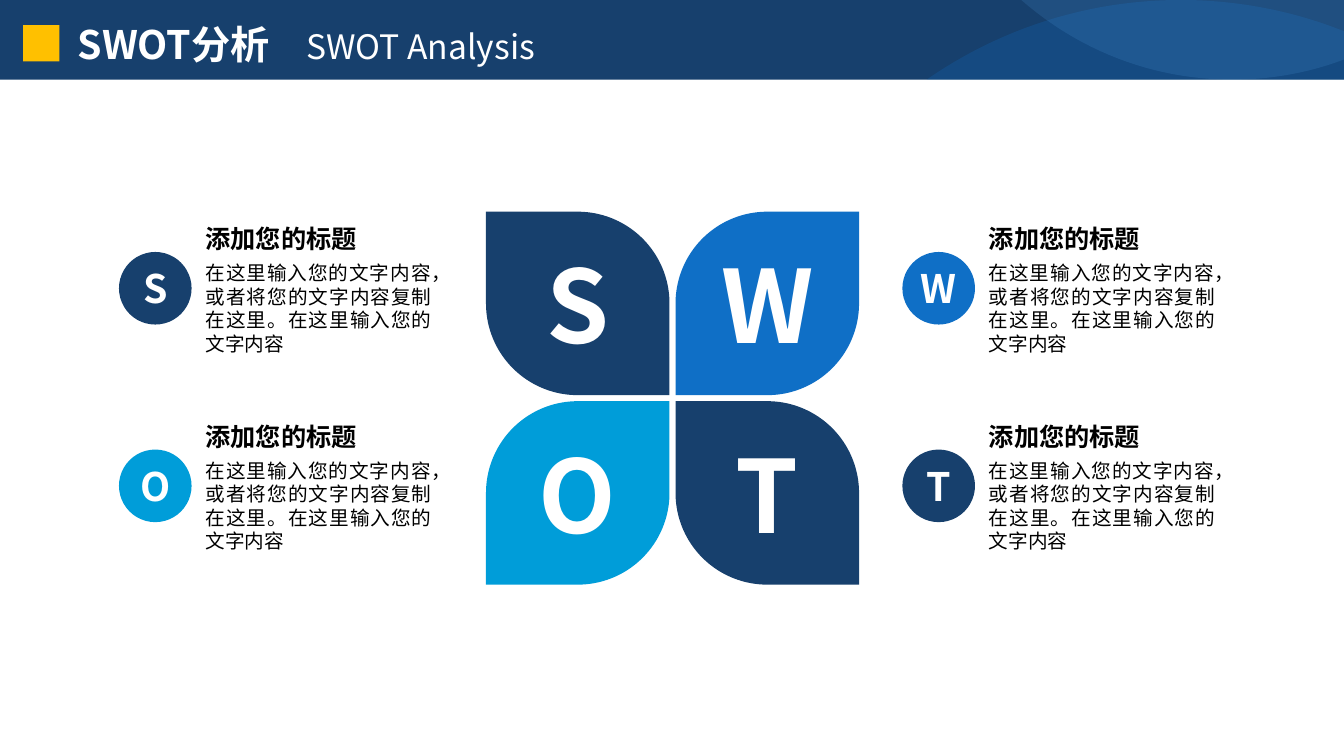
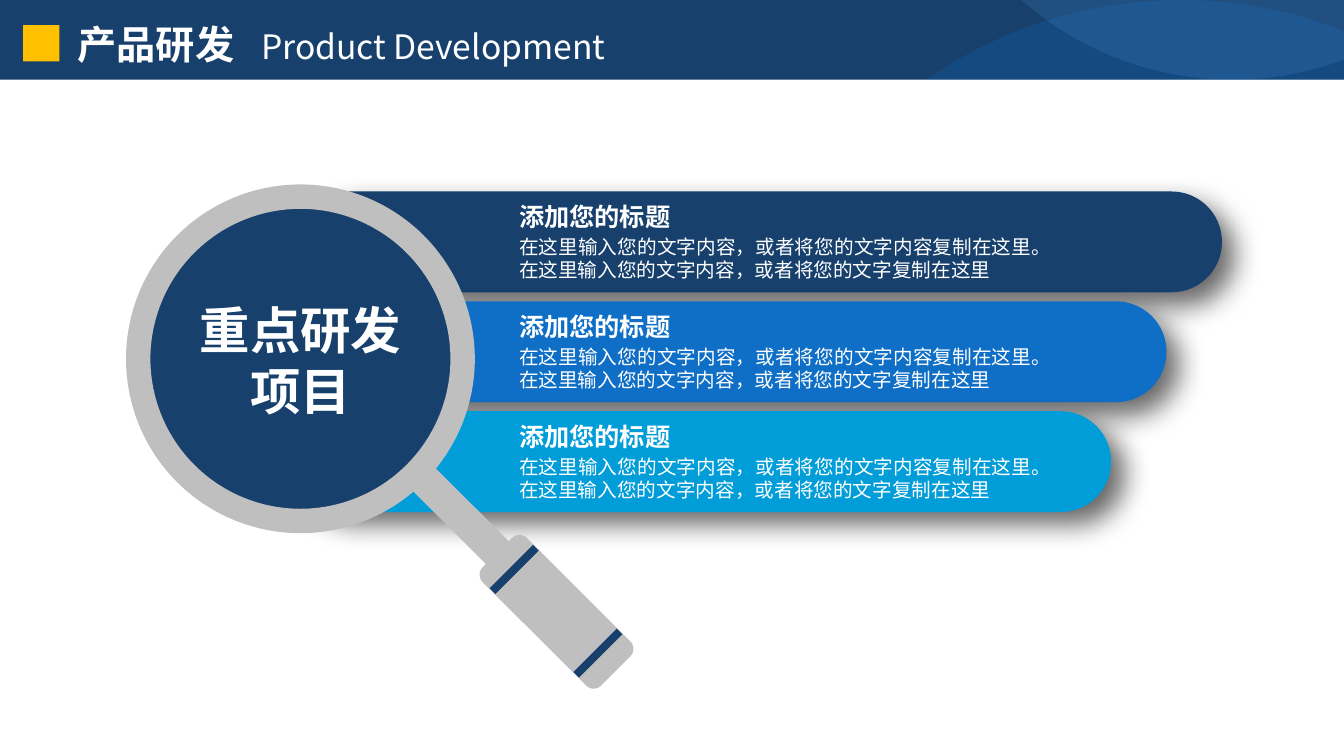
"""Build a SWOT slide and a product development slide under a shared title band."""
import lxml.etree
import pptx
import pptx.dml.color
import pptx.enum.shapes
import pptx.enum.text
import pptx.oxml.ns
import pptx.util

Inches = pptx.util.Inches
RGB = pptx.dml.color.RGBColor
KIND = pptx.enum.shapes.MSO_SHAPE
ALIGN = pptx.enum.text.PP_ALIGN
ANCHOR = pptx.enum.text.MSO_ANCHOR
qn = pptx.oxml.ns.qn
add = lxml.etree.SubElement

NAVY = RGB(0x17, 0x40, 0x6D)
BLUE = RGB(0x0F, 0x6F, 0xC6)
CYAN = RGB(0x00, 0x9D, 0xD9)
PALE = RGB(0x59, 0xAA, 0xF2)
GOLD = RGB(0xFF, 0xC0, 0x00)
GREY = RGB(0xBF, 0xBF, 0xBF)
WHITE = RGB(0xFF, 0xFF, 0xFF)
BLACK = RGB(0x00, 0x00, 0x00)
FACE = "Noto Sans CJK SC"
HEAD = "添加您的标题"


def style(font, size, color, bold):
    """Set one typeface for Latin and East Asian text."""
    font.size = pptx.util.Pt(size)
    font.bold = bold
    font.color.rgb = color
    font.name = FACE
    add(font._element, qn("a:ea"), typeface=FACE)


def form(page, kind, at, fill=None, text="", size=14, color=WHITE, bold=False, align=ALIGN.CENTER):
    """Add a filled shape, or a text box when kind is None."""
    place = [Inches(n) for n in at]
    if kind is None:
        shape = page.shapes.add_textbox(*place)
    else:
        shape = page.shapes.add_shape(kind, *place)
        shape.shadow.inherit = False
        shape.fill.solid()
        shape.fill.fore_color.rgb = fill
        shape.line.fill.background()
    if text:
        frame = shape.text_frame
        frame.word_wrap = True
        frame.text = text
        if kind is not None:
            frame.vertical_anchor = ANCHOR.MIDDLE
            frame.margin_left = frame.margin_right = 0
            frame.margin_top = frame.margin_bottom = 0
        for para in frame.paragraphs:
            para.alignment = align
            style(para.font, size, color, bold)
    return shape


deck = pptx.Presentation()
deck.slide_width = Inches(13.33)
deck.slide_height = Inches(7.5)
layout = deck.slide_layouts[5]
swot = deck.slides.add_slide(layout)
work = deck.slides.add_slide(layout)

band = [
    form(swot, KIND.RECTANGLE, (0, 0, 13.33, 0.79), NAVY),
    form(swot, KIND.RECTANGLE, (0.23, 0.25, 0.36, 0.36), GOLD),
]
waves = [
    (BLUE, 23, (11.71, 0), [
        [(12.28, 0), (12.83, 0.11), (13.33, 0.31)],
        [(13.33, 0.79)],
        [(9.19, 0.79)],
        [(9.91, 0.29), (10.78, 0), (11.71, 0)],
    ]),
    (PALE, 15, (13.33, 0), [
        [(13.33, 0.59)],
        [(12.99, 0.72), (12.61, 0.79), (12.22, 0.79)],
        [(11.42, 0.79), (10.69, 0.49), (10.13, 0)],
    ]),
]
STEPS = 24
for color, alpha, start, parts in waves:
    dots = [start]
    for part in parts:
        if len(part) == 1:
            dots += part
            continue
        a, b, c, d = [dots[-1], *part]
        for step in range(1, STEPS + 1):
            t = step / STEPS
            u = 1 - t
            dots.append([
                u**3 * a[k] + 3 * u * u * t * b[k] + 3 * u * t * t * c[k] + t**3 * d[k]
                for k in (0, 1)
            ])
    path = [(Inches(x), Inches(y)) for x, y in dots]
    pen = swot.shapes.build_freeform(*path[0])
    pen.add_line_segments(path[1:], close=True)
    wave = pen.convert_to_shape()
    wave.shadow.inherit = False
    wave.fill.solid()
    wave.fill.fore_color.rgb = color
    wave.line.fill.background()
    paint = wave.element.spPr.find(qn("a:solidFill"))
    add(paint[0], qn("a:alpha"), val=str(alpha * 1000))
    band.append(wave)

tree = layout.shapes.element
for shape in band:
    tree.append(shape.element)
for n, node in enumerate(tree.iter(qn("p:cNvPr")), 1):
    node.set("id", str(n))

for hold in layout.placeholders:
    if hold.placeholder_format.idx == 0:
        hold.left, hold.top = Inches(0.67), Inches(0.15)
        hold.width, hold.height = Inches(7.27), Inches(0.57)
        hold.text_frame.vertical_anchor = ANCHOR.TOP

titles = [
    (swot, "SWOT分析", "SWOT Analysis", 2.27),
    (work, "产品研发", "Product Development", 1.82),
]
for page, main, sub, stop in titles:
    frame = page.shapes.title.text_frame
    frame.auto_size = pptx.enum.text.MSO_AUTO_SIZE.NONE
    para = frame.paragraphs[0]
    para.alignment = ALIGN.LEFT
    tabs = add(para._p.get_or_add_pPr(), qn("a:tabLst"))
    add(tabs, qn("a:tab"), pos=str(Inches(stop)), algn="l")
    for text, size, bold in ((main, 28, True), ("\t" + sub, 24, False)):
        run = para.add_run()
        run.text = text
        style(run.font, size, WHITE, bold)

NOTE = "在这里输入您的文字内容，或者将您的文字内容复制在这里。在这里输入您的文字内容"
for n, (mark, color) in enumerate(zip("SWOT", (NAVY, BLUE, CYAN, NAVY))):
    row, col = divmod(n, 2)
    leaf = form(swot, KIND.ROUND_2_DIAG_RECTANGLE,
                (4.82 + 1.88 * col, 2.1 + 1.88 * row, 1.82, 1.82), color, mark, 72, bold=True)
    bend = 0.5 if row != col else 0
    leaf.adjustments[0] = bend
    leaf.adjustments[1] = 0.5 - bend
    x, y = 7.77 * col, 1.96 * row
    form(swot, KIND.OVAL, (1.18 + x, 2.5 + y, 0.72, 0.72), color, mark, 28, bold=True)
    form(swot, None, (1.94 + x, 2.54 + y, 2.44, 1.04), None, NOTE, 14, BLACK, False, ALIGN.JUSTIFY)
    form(swot, None, (1.94 + x, 2.17 + y, 2.44, 0.4), None, HEAD, 18, BLACK, True, ALIGN.JUSTIFY)

NOTE = "在这里输入您的文字内容，或者将您的文字内容复制在这里。在这里输入您的文字内容，或者将您的文字复制在这里"
for n, color in enumerate((NAVY, BLUE, CYAN)):
    y = 1.09 * n
    bar = form(work, KIND.ROUNDED_RECTANGLE,
               (2.98 - 0.04 * n, 1.9 + y, 9.14 - 0.51 * n, 1), color)
    bar.adjustments[0] = 0.5
    cast = add(bar.element.spPr.find(qn("a:effectLst")), qn("a:outerShdw"),
               blurRad=str(pptx.util.Pt(20)), dist=str(pptx.util.Pt(12)),
               dir="2700000", algn="tl", rotWithShape="0")
    shade = add(cast, qn("a:srgbClr"), val=str(BLACK))
    add(shade, qn("a:alpha"), val="60000")
    form(work, None, (5.05, 2.28 + y, 5.28, 0.57), None, NOTE, 14, align=ALIGN.JUSTIFY)
    form(work, None, (5.05, 1.95 + y, 2.24, 0.4), None, HEAD, 18, bold=True, align=ALIGN.LEFT)

form(work, KIND.OVAL, (1.47, 2.06, 3.02, 3.02), NAVY, "重点研发\n项目", 36, bold=True)
ring = form(work, KIND.DONUT, (1.25, 1.83, 3.46, 3.46), GREY)
ring.adjustments[0] = 0.07

rods = [
    (KIND.RECTANGLE, 4.56, 1.13, 0.32, GREY),
    (KIND.ROUNDED_RECTANGLE, 5.52, 1.66, 0.62, GREY),
    (KIND.RECTANGLE, 5.1, 0.08, 0.61, NAVY),
    (KIND.RECTANGLE, 5.93, 0.08, 0.61, NAVY),
]
for kind, x, long, wide, color in rods:
    y = x + 0.55
    rod = form(work, kind, (x - long / 2, y - wide / 2, long, wide), color)
    rod.rotation = 45

deck.save("out.pptx")
